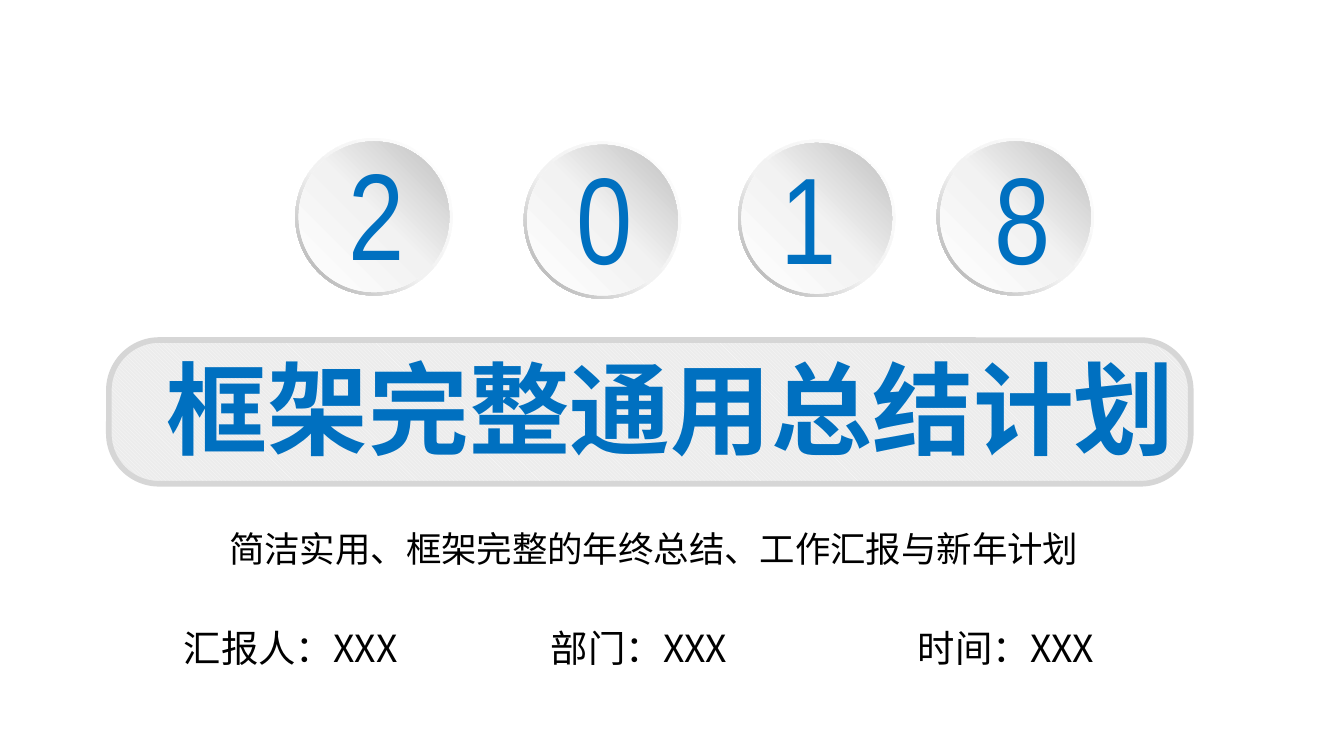
from copy import deepcopy

from lxml import etree
from pptx import Presentation
from pptx.dml.color import RGBColor
from pptx.enum.dml import MSO_PATTERN
from pptx.enum.shapes import MSO_SHAPE
from pptx.enum.text import MSO_AUTO_SIZE, PP_ALIGN
from pptx.oxml.ns import qn
from pptx.util import Pt

ROUNDED, DONUT, OVAL = MSO_SHAPE.ROUNDED_RECTANGLE, MSO_SHAPE.DONUT, MSO_SHAPE.OVAL
DIAGONAL = MSO_PATTERN.DARK_DOWNWARD_DIAGONAL
LEFT, CENTER = PP_ALIGN.LEFT, PP_ALIGN.CENTER
FIT_SHAPE = MSO_AUTO_SIZE.SHAPE_TO_FIT_TEXT

BLUE = RGBColor(0x00, 0x70, 0xC0)
BLACK = RGBColor(0x00, 0x00, 0x00)
WHITE = RGBColor(0xFF, 0xFF, 0xFF)
PALE = RGBColor(0xF2, 0xF2, 0xF2)
RIM_GREY = RGBColor(0xA6, 0xA6, 0xA6)
FACE_GREY = RGBColor(0xBF, 0xBF, 0xBF)
BANNER_STRIPE = RGBColor(0xFA, 0xFA, 0xFA)
BANNER_GREY = RGBColor(0xEC, 0xEC, 0xEC)
BANNER_EDGE = RGBColor(0xD6, 0xD6, 0xD6)

CJK = "Noto Sans CJK SC"
NARROW = "Arial Narrow"
SANS = "DejaVu Sans"

DISC_SIZE, FACE_SIZE, FACE_INSET = 84.3, 80.7, 1.8
DIGIT_WIDTH, DIGIT_HEIGHT = 67, 87
# digit, disc left, disc top, digit left, digit top
YEAR = [
    ("2", 158.2, 74, 168.5, 69.8),
    ("0", 280.6, 75.8, 290.2, 72),
    ("1", 395.4, 74.8, 399.6, 72),
    ("8", 501.8, 74, 514.1, 72),
]
# text, left, width
DETAILS = [
    ("汇报人：XXX", 91.4, 212),
    ("部门：XXX", 288, 225),
    ("时间：XXX", 484.6, 184),
]


def add_text(slide, text, box, size, font, color, align=CENTER, bold=False, insets=(7.2, 3.6)):
    frame = slide.shapes.add_textbox(*map(Pt, box)).text_frame
    frame.word_wrap = True
    frame.auto_size = FIT_SHAPE
    frame.margin_left = frame.margin_right = Pt(insets[0])
    frame.margin_top = frame.margin_bottom = Pt(insets[1])
    paragraph = frame.paragraphs[0]
    paragraph.alignment = align
    run = paragraph.add_run()
    run.text = text
    run.font.size = Pt(size)
    run.font.bold = bold
    run.font.name = font
    run.font.color.rgb = color
    east_asian = etree.SubElement(run.font._element, qn("a:ea"))
    east_asian.set("typeface", font)


def fill_gradient(shape, colors, middle, angle):
    """Fill with three stops; the angle runs counter-clockwise."""
    shape.fill.gradient()
    shape.fill.gradient_angle = angle
    stop_list = shape._element.spPr.find(".//" + qn("a:gsLst"))
    stop_list.append(deepcopy(stop_list[-1]))
    for stop, color, position in zip(shape.fill.gradient_stops, colors, (0, middle, 1)):
        stop.color.rgb = color
        stop.position = position


def add_round(group, preset, left, top, size):
    shape = group.shapes.add_shape(preset, Pt(left), Pt(top), Pt(size), Pt(size))
    shape.shadow.inherit = False
    shape.line.fill.background()
    return shape


def add_disc(slide, left, top):
    group = slide.shapes.add_group_shape()
    rim = add_round(group, DONUT, left, top, DISC_SIZE)
    rim.adjustments[0] = 0.05
    fill_gradient(rim, (WHITE, PALE, RIM_GREY), 0.55, 225)
    face = add_round(group, OVAL, left + FACE_INSET, top + FACE_INSET, FACE_SIZE)
    fill_gradient(face, (WHITE, PALE, FACE_GREY), 0.51, 45)


def add_banner(slide):
    banner = slide.shapes.add_shape(ROUNDED, Pt(58.3), Pt(182.2), Pt(579.6), Pt(77))
    banner.adjustments[0] = 0.35
    banner.shadow.inherit = False
    banner.fill.patterned()
    banner.fill.pattern = DIAGONAL
    banner.fill.fore_color.rgb = BANNER_STRIPE
    banner.fill.back_color.rgb = BANNER_GREY
    banner.line.color.rgb = BANNER_EDGE
    banner.line.width = Pt(3)


def main():
    presentation = Presentation()
    presentation.slide_width, presentation.slide_height = Pt(720), Pt(405)
    slide = presentation.slides.add_slide(presentation.slide_layouts[6])

    add_banner(slide)
    add_text(slide, "框架完整通用总结计划", (50.4, 185.8, 617.8, 65.5), 54, CJK, BLUE,
             bold=True, insets=(0, 0))

    for _, left, top, _, _ in YEAR:
        add_disc(slide, left, top)
    for digit, _, _, left, top in YEAR:
        add_text(slide, digit, (left, top, DIGIT_WIDTH, DIGIT_HEIGHT), 66, NARROW, BLUE)

    for detail, left, width in DETAILS:
        add_text(slide, detail, (left, 331.2, width, 31.7), 20, CJK, BLACK, align=LEFT)
    add_text(slide, "简洁实用、框架完整的年终总结、工作汇报与新年计划",
             (88.6, 277.2, 523.4, 32.4), 19, SANS, BLACK, insets=(9.4, 5))

    presentation.save("out.pptx")


if __name__ == "__main__":
    main()
